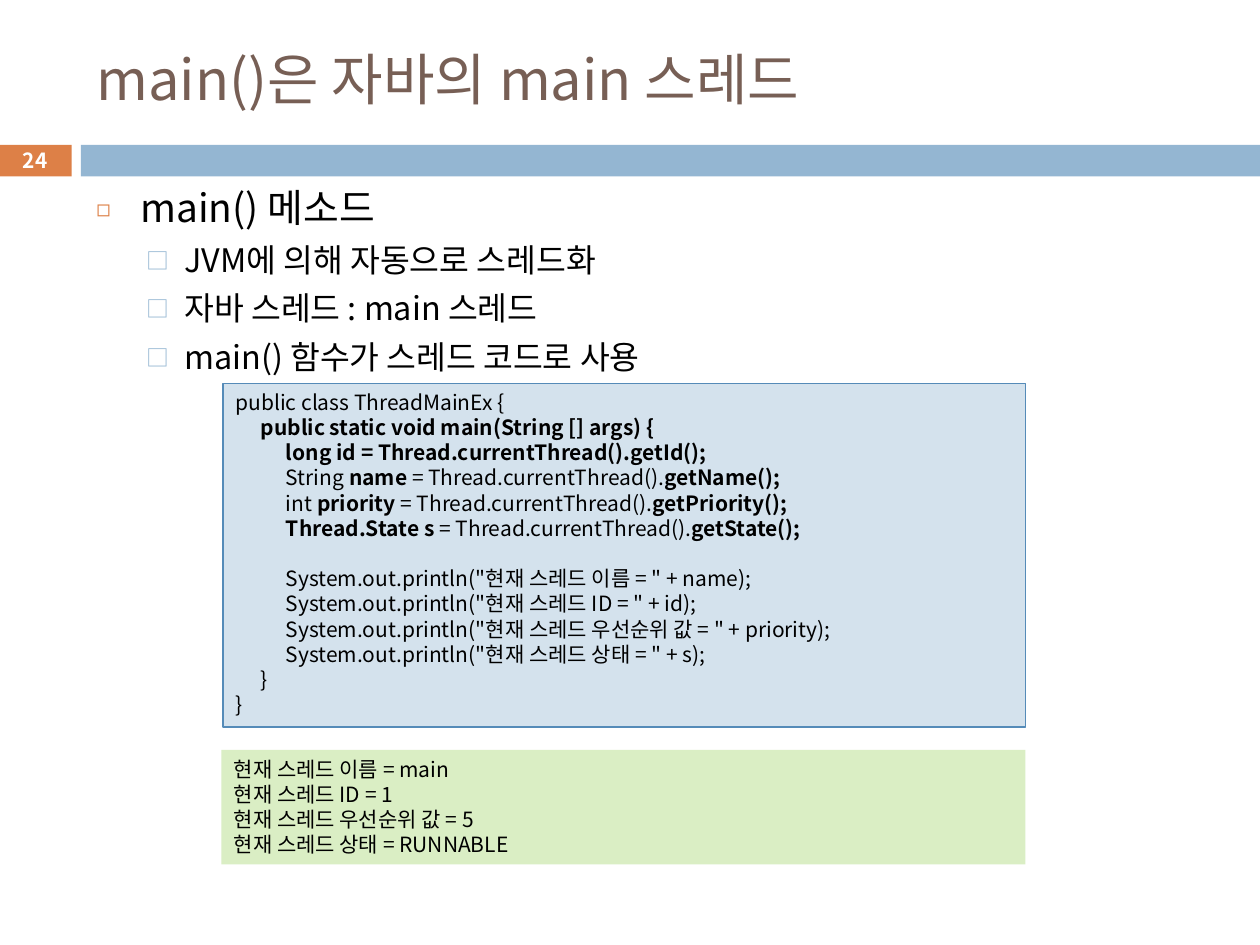
from dataclasses import dataclass

from lxml.etree import SubElement
from pptx import Presentation
from pptx.dml.color import RGBColor
from pptx.enum.shapes import MSO_SHAPE as Shape
from pptx.enum.text import MSO_ANCHOR as Anchor, PP_ALIGN as Align
from pptx.oxml.ns import qn
from pptx.util import Pt


@dataclass(frozen=True)
class Theme:
    font: str = "Noto Sans CJK KR"
    title: str = "775F55"
    ink: str = "000000"
    white: str = "FFFFFF"
    orange: str = "DD8047"
    blue: str = "94B6D2"
    code_fill: str = "D4E2ED"
    code_line: str = "558BB8"
    result_fill: str = "DAEEC4"
    title_size: float = 32
    topic_size: float = 22.2
    point_size: float = 18.5
    code_size: float = 12
    number_size: float = 11.9
    leading: float = 1.2
    tab: float = 14.4


THEME = Theme()

TITLE = "main()은 자바의 main 스레드"
TOPIC = "main() 메소드"
POINTS = [
    "JVM에 의해 자동으로 스레드화",
    "자바 스레드 : main 스레드",
    "main() 함수가 스레드 코드로 사용",
]
CODE_BLOCKS = [
    [
        "public class ThreadMainEx {",
        "\t**public static void main(String [] args) {**",
        "\t\t**long id = Thread.currentThread().getId();**",
        "\t\tString **name** = Thread.currentThread().**getName();**",
        "\t\tint **priority** = Thread.currentThread().**getPriority();**",
        "\t\t**Thread.State s** = Thread.currentThread().**getState();**",
    ],
    [
        '\t\tSystem.out.println("현재 스레드 이름 = " + name);',
        '\t\tSystem.out.println("현재 스레드 ID = " + id);',
        '\t\tSystem.out.println("현재 스레드 우선순위 값 = " + priority);',
        '\t\tSystem.out.println("현재 스레드 상태 = " + s);',
        "\t}",
        "}",
    ],
]
RESULT_BLOCKS = [[
    "현재 스레드 이름 = main",
    "현재 스레드 ID = 1",
    "현재 스레드 우선순위 값 = 5",
    "현재 스레드 상태 = RUNNABLE",
]]


def rgb(color):
    return RGBColor.from_string(color)


def style(paragraph, size, color, align=Align.LEFT, bold=False):
    paragraph.alignment = align
    paragraph.line_spacing = Pt(size * THEME.leading)
    font = paragraph.font
    font.size, font.bold, font.name = Pt(size), bold, THEME.font
    font.color.rgb = rgb(color)
    SubElement(font._rPr, qn("a:ea"), typeface=THEME.font)


def add_bullet(paragraph, char, color, percent, left, hanging):
    props = paragraph._p.get_or_add_pPr()
    props.set("marL", str(Pt(left)))
    props.set("indent", str(-Pt(hanging)))
    bullet_color = SubElement(props, qn("a:buClr"))
    SubElement(bullet_color, qn("a:srgbClr"), val=color)
    SubElement(props, qn("a:buSzPct"), val=str(percent * 1000))
    SubElement(props, qn("a:buFont"), typeface=THEME.font)
    SubElement(props, qn("a:buChar"), char=char)


def add_tabs(paragraph, count):
    stops = SubElement(paragraph._p.get_or_add_pPr(), qn("a:tabLst"))
    for step in range(1, count + 1):
        SubElement(stops, qn("a:tab"), pos=str(Pt(step * THEME.tab)), algn="l")


def add_panel(slide, box, fill, line=None):
    panel = slide.shapes.add_shape(Shape.RECTANGLE, *map(Pt, box))
    panel.shadow.inherit = False
    panel.fill.solid()
    panel.fill.fore_color.rgb = rgb(fill)
    if line:
        panel.line.color.rgb = rgb(line)
        panel.line.width = Pt(0.75)
    else:
        panel.line.fill.background()
    return panel


def add_title(slide, box):
    title = slide.shapes.title
    title.left, title.top, title.width, title.height = map(Pt, box)
    title.text_frame.text = TITLE
    title.text_frame.vertical_anchor = Anchor.MIDDLE
    style(title.text_frame.paragraphs[0], THEME.title_size, THEME.title)


def add_band(slide, box, number):
    left, top, width, height = box
    tab_width, gap = 41.75, 5.25
    bar_left = left + tab_width + gap
    add_panel(slide, (left, top, tab_width, height), THEME.orange)
    add_panel(slide, (bar_left, top, left + width - bar_left, height), THEME.blue)
    page = slide.shapes.add_textbox(*map(Pt, (left, top - 1, tab_width, height + 1)))
    frame = page.text_frame
    frame.word_wrap = True
    frame.vertical_anchor = Anchor.MIDDLE
    frame.margin_top = frame.margin_bottom = 0
    frame.text = number
    style(frame.paragraphs[0], THEME.number_size, THEME.white, Align.CENTER, True)


def add_outline(slide, box):
    frame = slide.shapes.add_textbox(*map(Pt, box)).text_frame
    frame.word_wrap = True
    topic = frame.paragraphs[0]
    topic.text = TOPIC
    add_bullet(topic, "◻", THEME.orange, 60, 25.2, 25.2)
    style(topic, THEME.topic_size, THEME.ink)
    for text in POINTS:
        point = frame.add_paragraph()
        point.text = text
        point.level = 1
        add_bullet(point, "□", THEME.blue, 70, 50.4, 21.6)
        style(point, THEME.point_size, THEME.ink)
        point.space_before = Pt(5.5)


def add_listing(slide, box, blocks, fill, line=None):
    frame = add_panel(slide, box, fill, line).text_frame
    frame.word_wrap = True
    frame.vertical_anchor = Anchor.TOP
    paragraph = None
    for block in blocks:
        for row, text in enumerate(block):
            starts_later_block = paragraph is not None and row == 0
            paragraph = frame.add_paragraph() if paragraph else frame.paragraphs[0]
            add_tabs(paragraph, 2)
            style(paragraph, THEME.code_size, THEME.ink)
            if starts_later_block:
                paragraph.space_before = Pt(THEME.code_size * THEME.leading)
            for index, part in enumerate(text.split("**")):
                if part:
                    run = paragraph.add_run()
                    run.text = part
                    if index % 2:
                        run.font.bold = True


def main():
    deck = Presentation()
    deck.slide_width, deck.slide_height = Pt(720), Pt(540)
    slide = deck.slides.add_slide(deck.slide_layouts[5])
    add_band(slide, (-0.75, 82.8, 720.75, 18), "24")
    add_title(slide, (48, 18, 642, 53.5))
    add_outline(slide, (48, 101.5, 642, 101.5))
    add_listing(slide, (127.5, 219, 458.5, 196.5), CODE_BLOCKS,
                THEME.code_fill, THEME.code_line)
    add_listing(slide, (126.5, 428.5, 459.5, 65.5), RESULT_BLOCKS, THEME.result_fill)
    deck.save("out.pptx")


if __name__ == "__main__":
    main()
